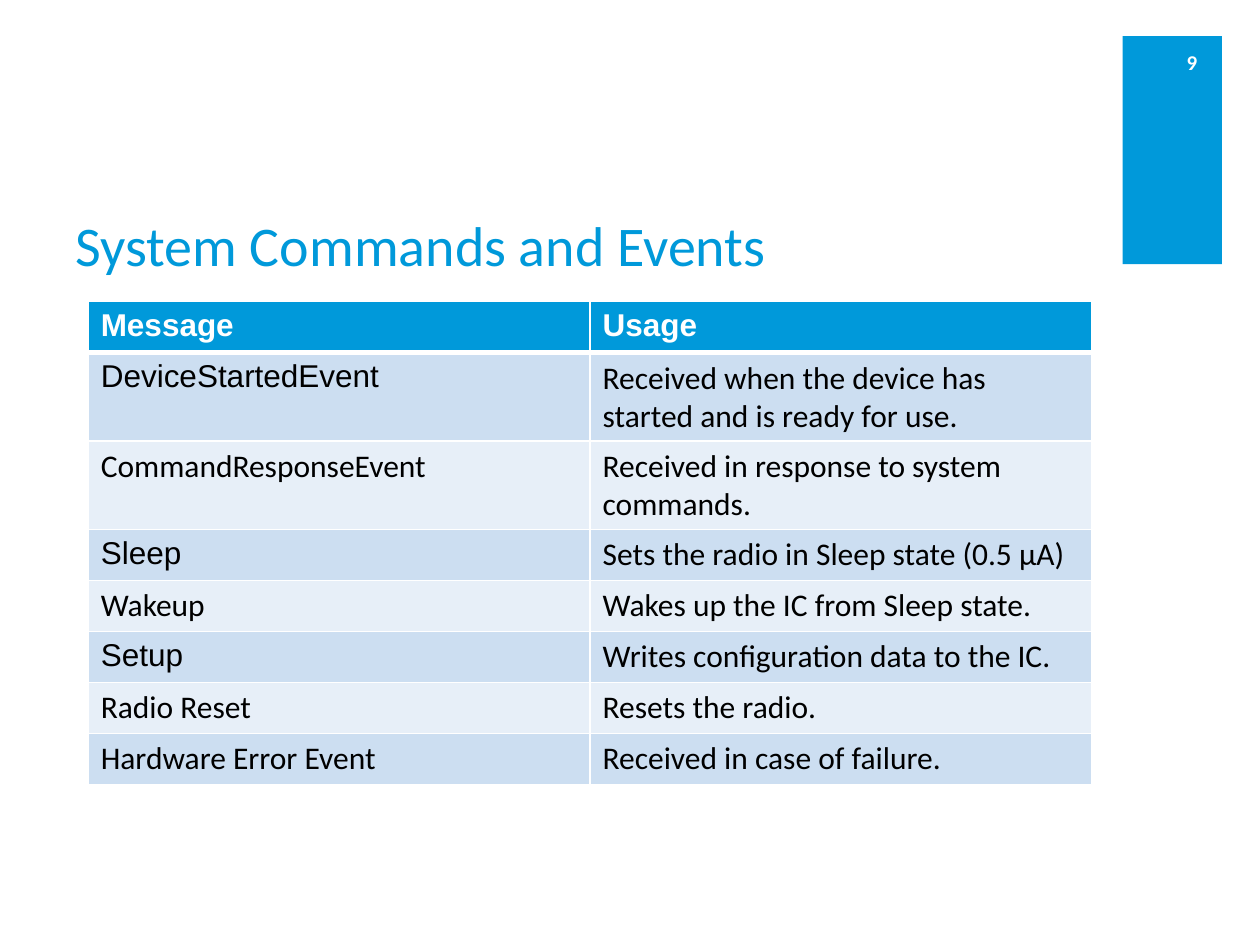
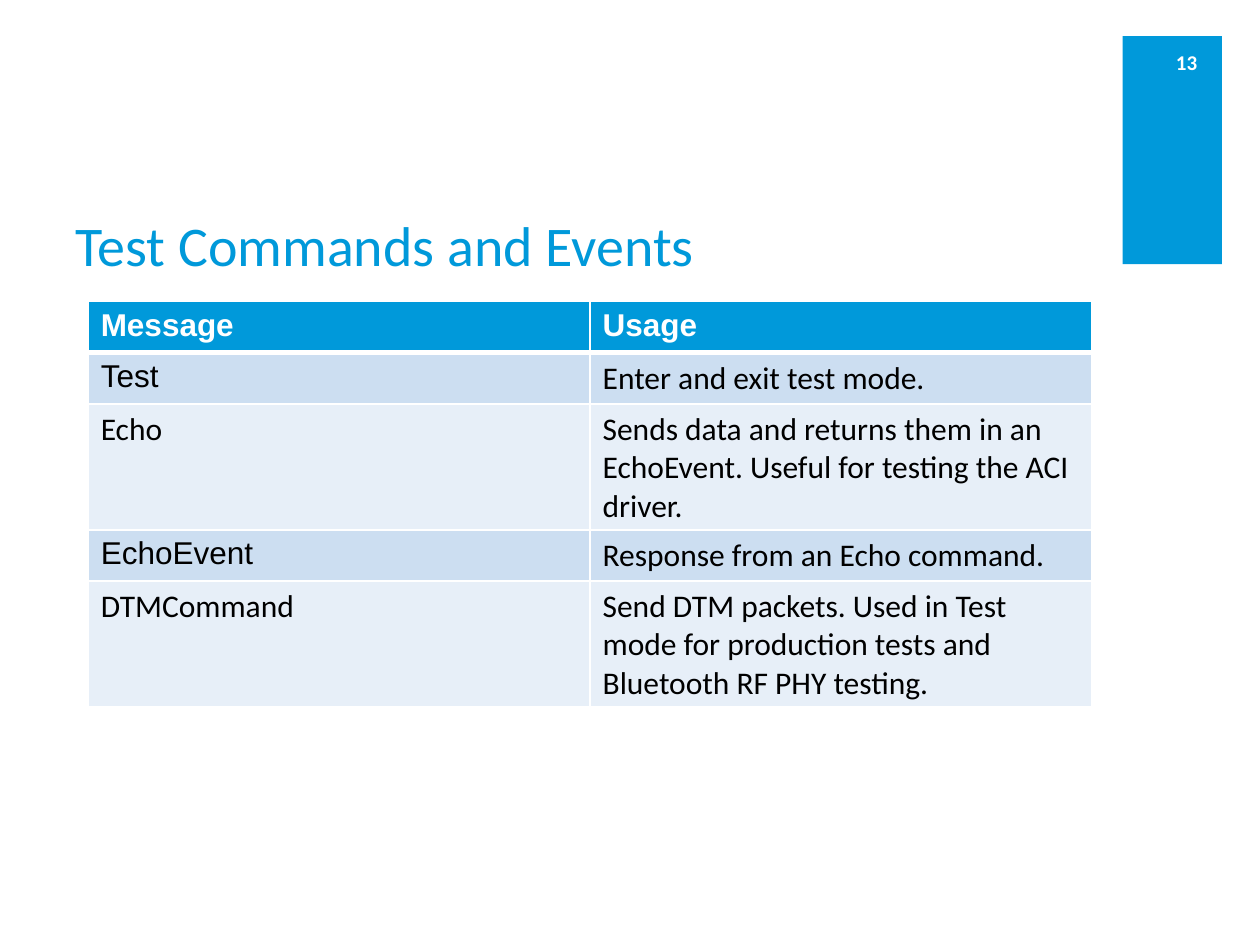
from dataclasses import dataclass

from lxml.etree import SubElement
from pptx import Presentation
from pptx.dml.color import RGBColor as Color
from pptx.enum.shapes import MSO_SHAPE as Shape
from pptx.enum.text import MSO_ANCHOR as Anchor, PP_ALIGN as Align
from pptx.oxml.ns import qn
from pptx.util import Pt

HEADINGS = ("Message", "Usage")

SLIDES = [
    {
        "number": "9",
        "title": "System Commands and Events",
        "messages": [
            ("DeviceStartedEvent", "Received when the device has started and is ready for use."),
            ("CommandResponseEvent", "Received in response to system commands."),
            ("Sleep", "Sets the radio in Sleep state (0.5 μA)"),
            ("Wakeup", "Wakes up the IC from Sleep state."),
            ("Setup", "Writes configuration data to the IC."),
            ("Radio Reset", "Resets the radio."),
            ("Hardware Error Event", "Received in case of failure."),
        ],
    },
    {
        "number": "13",
        "title": "Test Commands and Events",
        "messages": [
            ("Test", "Enter and exit test mode."),
            ("Echo", "Sends data and returns them in an EchoEvent. Useful for testing the ACI driver."),
            ("EchoEvent", "Response from an Echo command."),
            ("DTMCommand", "Send DTM packets. Used in Test mode for production tests and Bluetooth RF PHY testing."),
        ],
    },
]

ARIAL_MESSAGES = {"DeviceStartedEvent", "Sleep", "Setup", "Test", "EchoEvent"}


@dataclass(frozen=True)
class Theme:
    accent: str = "0099DA"
    white: str = "FFFFFF"
    black: str = "000000"
    stripes: tuple = ("CCDEF1", "E7EFF8")
    body_font: str = "Calibri"
    code_font: str = "Arial"
    title_size: int = 32
    table_size: int = 18
    number_size: int = 12
    thin: int = 1
    thick: int = 3


THEME = Theme()
TITLE_FORMAT = {"name": THEME.body_font, "size": Pt(THEME.title_size), "bold": False}
NUMBER_FORMAT = {"name": THEME.body_font, "size": Pt(THEME.number_size), "bold": True}
HEADING_FORMAT = {"name": THEME.code_font, "size": Pt(THEME.table_size), "bold": True}
BODY_FORMAT = {"name": THEME.body_font, "size": Pt(THEME.table_size), "bold": False}
CODE_FORMAT = BODY_FORMAT | {"name": THEME.code_font}

PAGE_SIZE = (720, 540)
BAND_BOX = (641.5, 20.6, 56.8, 130.3)
NUMBER_BOX = (644.4, 20.9, 46.8, 28.8)
TITLE_BOX = (36, 72, 582, 90)
TABLE_LEFT, TABLE_TOP, TABLE_WIDTH, ROW_HEIGHT = 50.4, 172.4, 573.6, 29.2


def points(values):
    return [Pt(value) for value in values]


def write(frame, text, font_format, color, align=Align.LEFT):
    para = frame.paragraphs[0]
    para.alignment = align
    span = para.add_run()
    span.text = text
    for name, value in font_format.items():
        setattr(span.font, name, value)
    span.font.color.rgb = Color.from_string(color)


def add_text(page, place, text, font_format, color, anchor, align=Align.LEFT):
    frame = page.shapes.add_textbox(*points(place)).text_frame
    frame.word_wrap = True
    frame.vertical_anchor = anchor
    write(frame, text, font_format, color, align)


def add_band(page):
    band = page.shapes.add_shape(Shape.RECTANGLE, *points(BAND_BOX))
    band.shadow.inherit = False
    band.fill.solid()
    band.fill.fore_color.rgb = Color.from_string(THEME.accent)
    band.line.fill.background()


def set_borders(cell, top, bottom):
    properties = cell._tc.get_or_add_tcPr()
    widths = {"lnL": THEME.thin, "lnR": THEME.thin, "lnT": top, "lnB": bottom}
    for tag, width in widths.items():
        line = SubElement(properties, qn(f"a:{tag}"), w=str(Pt(width)))
        fill = SubElement(line, qn("a:solidFill"))
        SubElement(fill, qn("a:srgbClr"), val=THEME.white)


def cell_style(row, column, text):
    if row == 0:
        return HEADING_FORMAT, THEME.white, THEME.accent
    is_code = column == 0 and text in ARIAL_MESSAGES
    return CODE_FORMAT if is_code else BODY_FORMAT, THEME.black, THEME.stripes[(row - 1) % 2]


def add_message_table(page, messages):
    rows = [HEADINGS, *messages]
    place = (TABLE_LEFT, TABLE_TOP, TABLE_WIDTH, ROW_HEIGHT * len(rows))
    table = page.shapes.add_table(len(rows), len(HEADINGS), *points(place)).table
    for row, texts in enumerate(rows):
        for column, text in enumerate(texts):
            cell = table.cell(row, column)
            font_format, color, fill = cell_style(row, column, text)
            set_borders(
                cell,
                top=THEME.thick if row == 1 else THEME.thin,
                bottom=THEME.thick if row == 0 else THEME.thin,
            )
            cell.fill.solid()
            cell.fill.fore_color.rgb = Color.from_string(fill)
            write(cell.text_frame, text, font_format, color)


def add_page(deck, content):
    page = deck.slides.add_slide(deck.slide_layouts[6])
    add_band(page)
    add_text(page, NUMBER_BOX, content["number"], NUMBER_FORMAT, THEME.white, Anchor.MIDDLE, Align.RIGHT)
    add_text(page, TITLE_BOX, content["title"], TITLE_FORMAT, THEME.accent, Anchor.BOTTOM)
    add_message_table(page, content["messages"])


def main():
    deck = Presentation()
    deck.slide_width, deck.slide_height = points(PAGE_SIZE)
    for content in SLIDES:
        add_page(deck, content)
    deck.save("out.pptx")


if __name__ == "__main__":
    main()
